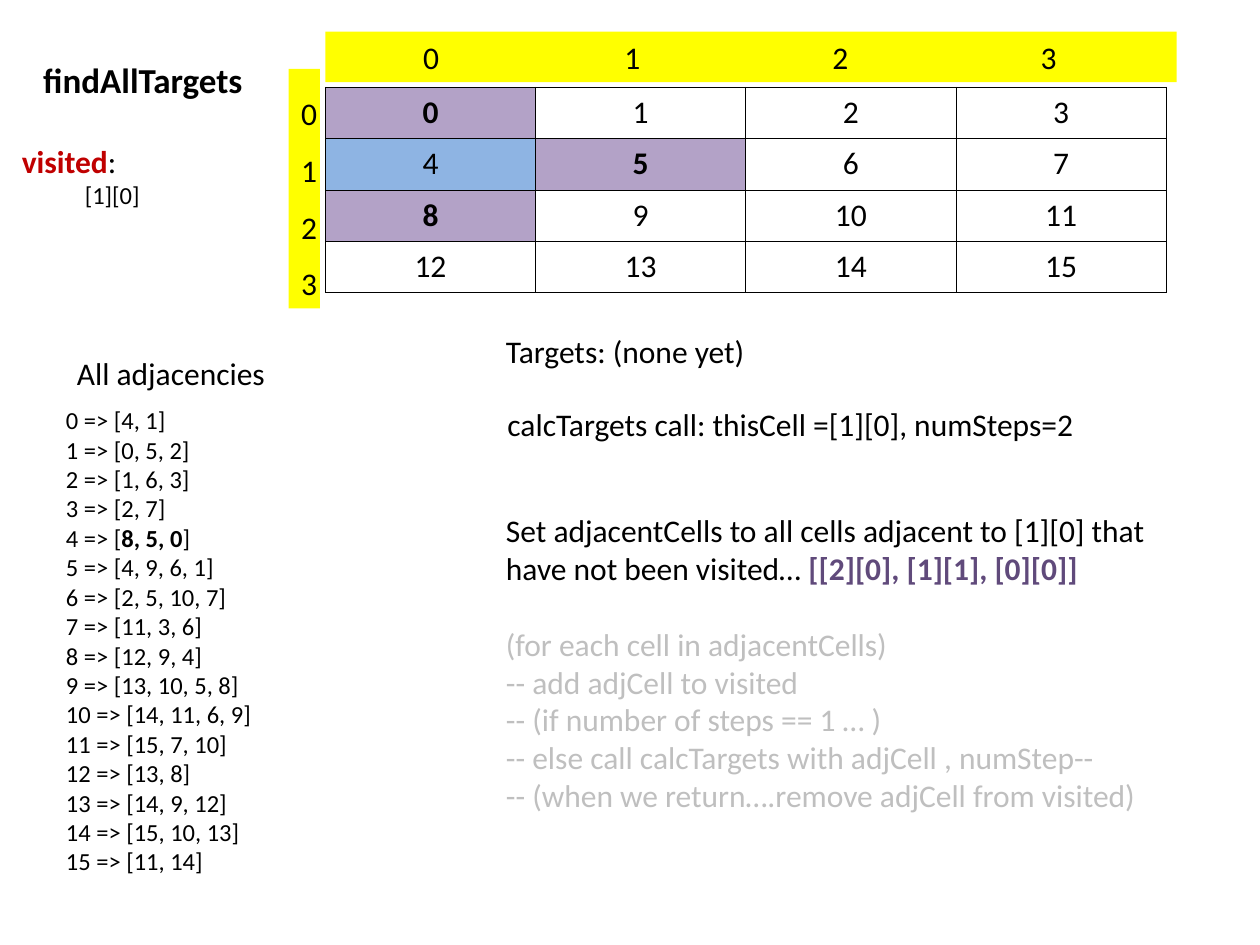
from dataclasses import dataclass
from lxml.etree import SubElement
from pptx import Presentation
from pptx.dml.color import RGBColor
from pptx.enum.shapes import MSO_SHAPE
from pptx.enum.text import MSO_ANCHOR, MSO_AUTO_SIZE, PP_ALIGN
from pptx.oxml.ns import qn
from pptx.util import Cm, Pt


@dataclass(frozen=True)
class Theme:
    """Colours and type sizes of the slide."""
    font: str = "Calibri"
    ink: str = "000000"
    paper: str = "FFFFFF"
    band: str = "FFFF00"
    near: str = "B3A2C7"
    here: str = "8EB4E3"
    red: str = "C00000"
    plum: str = "604A7B"
    pale: str = "BFBFBF"
    head: int = 20
    text: int = 18
    small: int = 14
    rule: float = 0.45


THEME = Theme()
EDGES = {
    0: [4, 1], 1: [0, 5, 2], 2: [1, 6, 3], 3: [2, 7],
    4: [8, 5, 0], 5: [4, 9, 6, 1], 6: [2, 5, 10, 7], 7: [11, 3, 6],
    8: [12, 9, 4], 9: [13, 10, 5, 8], 10: [14, 11, 6, 9], 11: [15, 7, 10],
    12: [13, 8], 13: [14, 9, 12], 14: [15, 10, 13], 15: [11, 14],
}
SIDE = 4
START = 4


def put(item, values):
    """Set each named value on an object."""
    for name, value in values.items():
        setattr(item, name, value)


def tint(fill, shade):
    """Give a fill one solid colour."""
    fill.solid()
    fill.fore_color.rgb = RGBColor.from_string(shade)


def write(para, *runs, size=THEME.text, **form):
    """Fill a paragraph with (text, colour, bold) runs."""
    put(para, {"alignment": PP_ALIGN.LEFT, **form})
    for text, shade, bold in runs:
        run = para.add_run()
        run.text = text
        put(run.font, {"name": THEME.font, "size": Pt(size), "bold": bold})
        run.font.color.rgb = RGBColor.from_string(shade)


def setup(frame, wrap):
    """Format a text frame."""
    put(frame, {
        "word_wrap": wrap, "auto_size": MSO_AUTO_SIZE.SHAPE_TO_FIT_TEXT,
        "vertical_anchor": MSO_ANCHOR.TOP,
        "margin_left": Cm(0.25), "margin_right": Cm(0.25),
        "margin_top": Cm(0.13), "margin_bottom": Cm(0.13),
    })
    return frame


def label(slide, box, wrap=False):
    """Add a text box and return its frame."""
    return setup(slide.shapes.add_textbox(*map(Cm, box)).text_frame, wrap)


def strip(slide, box):
    """Add a plain coloured band and return its frame."""
    shape = slide.shapes.add_shape(MSO_SHAPE.RECTANGLE, *map(Cm, box))
    shape.shadow.inherit = False
    shape.line.fill.background()
    tint(shape.fill, THEME.band)
    return setup(shape.text_frame, True)


def outline(cell):
    """Draw thin lines around a table cell."""
    props = cell._tc.get_or_add_tcPr()
    for edge in ("a:lnL", "a:lnR", "a:lnT", "a:lnB"):
        line = SubElement(props, qn(edge), w=str(int(Pt(THEME.rule))))
        fill = SubElement(line, qn("a:solidFill"))
        SubElement(fill, qn("a:srgbClr"), val=THEME.ink)


def board(slide, box):
    """Draw the numbered grid with its index bands."""
    left, top, width, height = box
    inner = left + 0.74
    across = strip(slide, (inner, top, width - 0.74, 1.02)).paragraphs[0]
    tabs = SubElement(across._p.get_or_add_pPr(), qn("a:tabLst"))
    for stop in (1.72, 5.78, 9.97, 14.17):
        SubElement(tabs, qn("a:tab"), pos=str(int(Cm(stop))), algn="l")
    write(across, ("".join(f"\t{col}" for col in range(SIDE)), THEME.ink, False))

    down = strip(slide, (left, top + 0.75, 0.63, height - 0.76))
    for row in range(SIDE):
        para = down.add_paragraph() if row else down.paragraphs[0]
        write(para, (str(row), THEME.ink, False), line_spacing=1.5)

    spot = map(Cm, (inner, top + 1.12, width - 0.95, 4.14))
    table = slide.shapes.add_table(SIDE, SIDE, *spot).table
    put(table, {"first_row": False, "horz_banding": False})
    for num in EDGES:
        cell = table.cell(*divmod(num, SIDE))
        near = num in EDGES[START]
        shade = THEME.near if near else THEME.here if num == START else THEME.paper
        outline(cell)
        tint(cell.fill, shade)
        write(cell.text_frame.paragraphs[0], (str(num), THEME.ink, near),
              alignment=PP_ALIGN.CENTER)


def status(slide, box):
    """Place the title and the visited cells."""
    left, top, width, height = box
    title = slide.shapes.title
    spot = (left + 0.43, top, 4.62, 1.12)
    put(title, dict(zip(("left", "top", "width", "height"), map(Cm, spot))))
    write(setup(title.text_frame, False).paragraphs[0],
          ("findAllTargets", THEME.ink, True), size=THEME.head)
    seen = label(slide, (left, top + 1.69, width, height - 1.69), True)
    write(seen.paragraphs[0], ("visited", THEME.red, True), (":", THEME.ink, False))
    para = seen.add_paragraph()
    props = para._p.get_or_add_pPr()
    for name, size in {"marL": 2.06, "indent": -0.79}.items():
        props.set(name, str(int(Cm(size))))
    write(para, ("[1][0]", THEME.ink, False), size=THEME.small, level=1)


def links(slide, box):
    """List the neighbours of every cell."""
    left, top, width, height = box
    write(label(slide, (left + 0.22, top, 4.6, 1.02), True).paragraphs[0],
          ("All adjacencies", THEME.ink, False))
    frame = label(slide, (left, top + 1.03, width, height - 1.03))
    for num, ends in EDGES.items():
        para = frame.add_paragraph() if num else frame.paragraphs[0]
        write(para, (f"{num} => [", THEME.ink, False),
              (", ".join(map(str, ends)), THEME.ink, num == START),
              ("]", THEME.ink, False), size=THEME.small)


def steps(slide, box):
    """Show the targets, the call and its steps."""
    left, top, width, height = box
    write(label(slide, (left, top, 5.38, 1.02)).paragraphs[0],
          ("Targets: (none yet)", THEME.ink, False))
    write(label(slide, (left + 0.03, top + 1.47, 12.01, 1.02)).paragraphs[0],
          ("calcTargets call: thisCell =[1][0], numSteps=2", THEME.ink, False))
    frame = label(slide, (left, top + 3.61, width, height - 3.61), True)
    write(frame.paragraphs[0],
          ("Set adjacentCells to all cells adjacent to [1][0] that "
           "have not been visited… ", THEME.ink, False),
          ("[[2][0], [1][1], [0][0]]", THEME.plum, True))
    lines = (
        "(for each cell in adjacentCells)",
        "-- add adjCell to visited",
        "-- (if number of steps == 1 … )",
        "-- else call calcTargets with adjCell , numStep--",
        "-- (when we return….remove adjCell from visited)",
    )
    for rank, line in enumerate(lines):
        write(frame.add_paragraph(), (line, THEME.pale, False),
              space_before=Pt(0 if rank else 21.6))


def main():
    """Build and save the slide."""
    deck = Presentation()
    put(deck, {"slide_width": Cm(25.4), "slide_height": Cm(19.05)})
    slide = deck.slides.add_slide(deck.slide_layouts[5])
    board(slide, (5.82, 0.64, 17.9, 5.59))
    status(slide, (0.19, 1.05, 4.47, 3.3))
    links(slide, (1.08, 7.01, 4.24, 10.79))
    steps(slide, (9.95, 6.57, 14.6, 9.98))
    deck.save("out.pptx")


if __name__ == "__main__":
    main()
